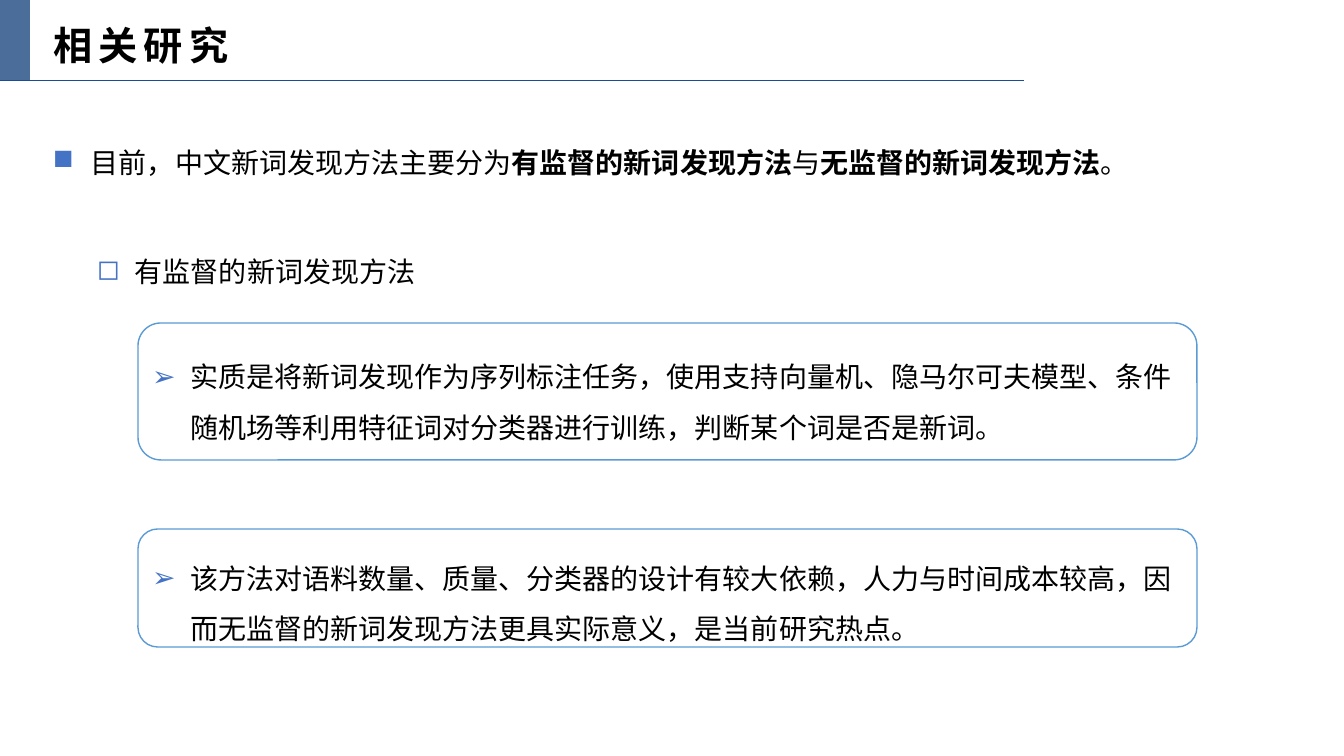
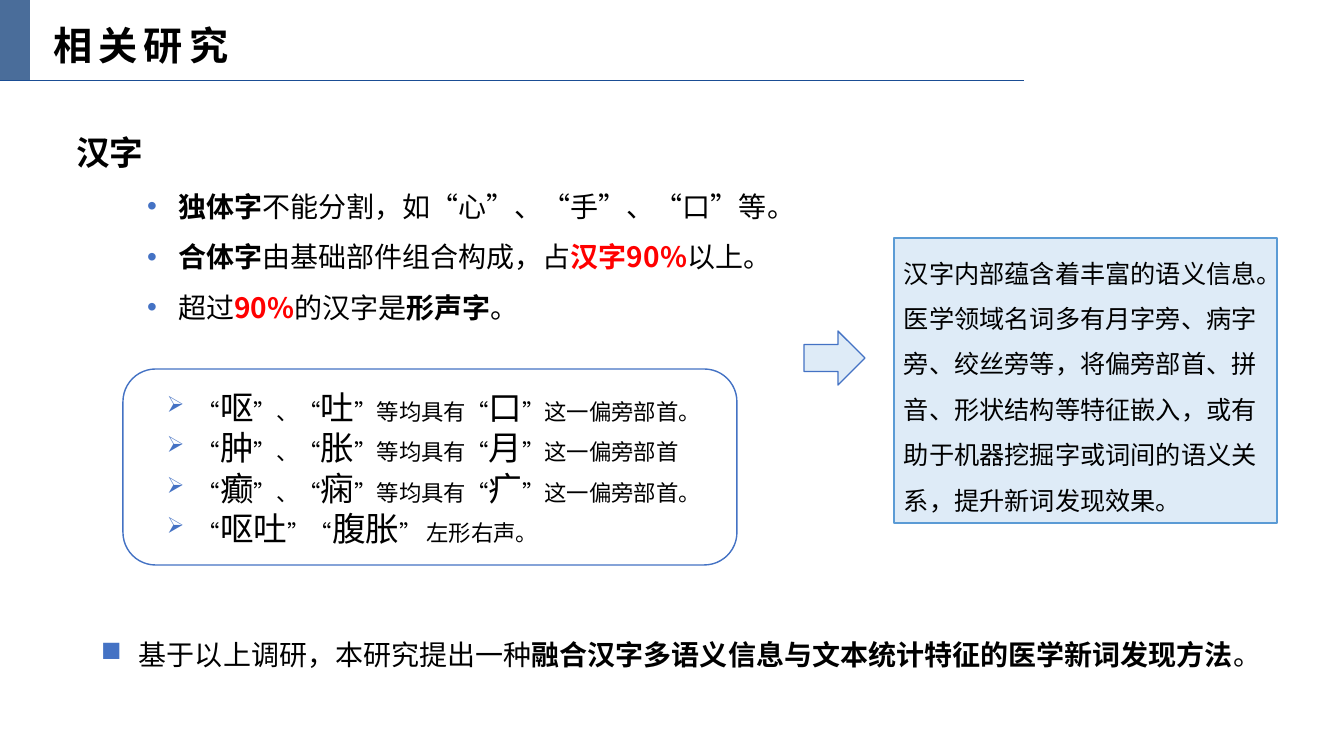
from lxml import etree
from pptx import Presentation
from pptx.dml.color import RGBColor
from pptx.enum.shapes import MSO_CONNECTOR as Connector, MSO_SHAPE as Shape
from pptx.enum.text import MSO_ANCHOR as Anchor, MSO_AUTO_SIZE as AutoSize, PP_ALIGN as Align
from pptx.oxml.ns import qn
from pptx.util import Pt

SLIDE_WIDTH, SLIDE_HEIGHT = 1344, 756
EMU_PER_PX = 12192000 / SLIDE_WIDTH

FONT = "Noto Sans CJK SC"
BLACK = RGBColor(0x00, 0x00, 0x00)
RED = RGBColor(0xFF, 0x00, 0x00)
BAND = RGBColor(0x4A, 0x6D, 0x9A)
RULE = RGBColor(0x1A, 0x4D, 0x94)
ACCENT = RGBColor(0x44, 0x72, 0xC4)
SKY = RGBColor(0x5B, 0x9B, 0xD5)
PALE = RGBColor(0xDE, 0xEB, 0xF7)

BOLD = {"bold": True}
ALERT = {"bold": True, "color": RED}
BIG = {"size": 24}
# Hanging bullets: main text and nested lists
MAIN = {"left": 38, "hang": 38}
NESTED = {"level": 1, "left": 132, "hang": 31, "align": Align.JUSTIFY}


def px(length):
    return round(length * EMU_PER_PX)


# Text
def add_run(paragraph, text, size=20, bold=False, color=BLACK, tracking=None):
    run = paragraph.add_run()
    run.text = text
    font = run.font
    font.name, font.size, font.bold = FONT, Pt(size), bold
    font.color.rgb = color
    properties = run._r.get_or_add_rPr()
    properties.set("lang", "zh-CN")
    if tracking:
        properties.set("spc", str(round(tracking * 100)))
    etree.SubElement(properties, qn("a:ea")).set("typeface", FONT)


def add_text(shape, runs, bullet=None, left=0, hang=0, level=0, align=Align.LEFT,
             spacing=1.0, before=0, **run_format):
    """Add one paragraph; runs is a string or a list of strings and (string, format)."""
    frame = shape.text_frame
    paragraph = frame.paragraphs[0]
    if paragraph.runs:
        paragraph = frame.add_paragraph()
    properties = paragraph._p.get_or_add_pPr()
    properties.set("marL", str(px(left)))
    properties.set("indent", str(-px(hang)))
    if bullet:
        color = etree.SubElement(properties, qn("a:buClr"))
        etree.SubElement(color, qn("a:srgbClr")).set("val", str(ACCENT))
        etree.SubElement(properties, qn("a:buChar")).set("char", bullet)
    else:
        etree.SubElement(properties, qn("a:buNone"))
    paragraph.level, paragraph.alignment = level, align
    paragraph.line_spacing = spacing
    paragraph.space_before, paragraph.space_after = Pt(before), Pt(0)
    for run in [runs] if isinstance(runs, str) else runs:
        text, extra = (run, {}) if isinstance(run, str) else run
        add_run(paragraph, text, **{**run_format, **extra})


def prepare_frame(shape, wrap=True):
    frame = shape.text_frame
    frame.word_wrap, frame.auto_size = wrap, AutoSize.NONE
    frame.vertical_anchor = Anchor.TOP
    return shape


# Objects
def move(shape, box):
    shape.left, shape.top, shape.width, shape.height = map(px, box)
    return shape


def add_text_box(slide, box):
    return prepare_frame(slide.shapes.add_textbox(*map(px, box)))


def use_body(slide, box):
    return prepare_frame(move(slide.placeholders[1], box))


def add_panel(slide, kind, box, fill=None, line=None):
    panel = slide.shapes.add_shape(kind, *map(px, box))
    panel.shadow.inherit = False
    if fill:
        panel.fill.solid()
        panel.fill.fore_color.rgb = fill
    else:
        panel.fill.background()
    if line:
        panel.line.color.rgb = line
        panel.line.width = Pt(1)
    else:
        panel.line.fill.background()
    return panel


# Shared slide frame: rule, band and title
def add_titled_slide(presentation, title_text):
    slide = presentation.slides.add_slide(presentation.slide_layouts[1])
    rule = slide.shapes.add_connector(Connector.STRAIGHT, 0, px(80), px(1024), px(80))
    rule.line.color.rgb = RULE
    rule.line.width = Pt(0.5)
    etree.SubElement(rule._element.spPr, qn("a:effectLst"))
    add_panel(slide, Shape.RECTANGLE, (0, 0, 30, 80), fill=BAND)
    title = prepare_frame(move(slide.shapes.title, (43, 16, 205, 57)), wrap=False)
    add_text(title, title_text, size=28, bold=True, tracking=4.5)
    return slide


# Regions of the supervised methods slide
def add_statement(slide, box, runs, bullet, **text_format):
    add_text(add_text_box(slide, box), runs, bullet, **MAIN, **text_format)


def add_framed_points(slide, box, points):
    left, top, width, height = box
    for offset, card_height in ((0, 137), (206, 118)):
        add_panel(slide, Shape.ROUNDED_RECTANGLE,
                  (left, top + offset, width, card_height), line=SKY)
    body = use_body(slide, (left + 4, top + 15, width, height - 15))
    for index, point in enumerate(points):
        add_text(body, point, "➢", **MAIN, spacing=1.5, before=72 * index)


# Regions of the characters slide
def add_character_facts(slide, box, heading, facts):
    body = use_body(slide, box)
    add_text(body, heading, left=30, align=Align.JUSTIFY, spacing=1.2, size=24, bold=True)
    for fact in facts:
        add_text(body, fact, "•", **NESTED, before=12)


def add_examples(slide, box, examples):
    left, top, width, height = box
    add_panel(slide, Shape.ROUNDED_RECTANGLE, box, line=ACCENT)
    text_box = add_text_box(slide, (left - 67, top + 13, width + 79, height - 22))
    for runs in examples:
        add_text(text_box, runs, "➢", **NESTED, size=16)


def radical_example(first, second, radical, ending):
    return ["“", (first, BIG), "”、“", (second, BIG), "”等均具有“",
            (radical, BIG), "”这一偏旁部首" + ending]


def add_insight(slide, box, text):
    left, top, width, height = box
    add_panel(slide, Shape.RIGHT_ARROW, (left - 90, top + 93, 61, 54), PALE, ACCENT)
    panel = prepare_frame(add_panel(slide, Shape.RECTANGLE, box, PALE, SKY))
    add_text(panel, text, spacing=1.5, size=18)


# Slides
def build_supervised_slide(presentation):
    slide = add_titled_slide(presentation, "相关研究")
    add_statement(slide, (43, 124, 1242, 55), [
        "目前，中文新词发现方法主要分为", ("有监督的新词发现方法", BOLD),
        "与", ("无监督的新词发现方法", BOLD), "。",
    ], "■", spacing=1.5, align=Align.JUSTIFY)
    add_statement(slide, (87, 233, 1242, 55), "有监督的新词发现方法", "◻",
                  spacing=1.5, align=Align.JUSTIFY)
    add_framed_points(slide, (138, 323, 1059, 324), [
        "实质是将新词发现作为序列标注任务，使用支持向量机、隐马尔可夫模型、条件"
        "随机场等利用特征词对分类器进行训练，判断某个词是否是新词。",
        "该方法对语料数量、质量、分类器的设计有较大依赖，人力与时间成本较高，因"
        "而无监督的新词发现方法更具实际意义，是当前研究热点。",
    ])


def build_characters_slide(presentation):
    slide = add_titled_slide(presentation, "相关研究")
    add_character_facts(slide, (36, 119, 901, 212), "汉字", [
        [("独体字", BOLD), "不能分割，如“心”、“手”、“口”等。"],
        [("合体字", BOLD), "由基础部件组合构成，占", ("汉字90%", ALERT), "以上。"],
        ["超过", ("90%", ALERT), "的汉字是", ("形声字", BOLD), "。"],
    ])
    add_examples(slide, (123, 369, 614, 196), [
        radical_example("呕", "吐", "口", "。"),
        radical_example("肿", "胀", "月", ""),
        radical_example("癫", "痫", "疒", "。"),
        ["“", ("呕吐", BIG), "”“", ("腹胀", BIG), "” 左形右声。"],
    ])
    add_insight(slide, (894, 238, 383, 285),
                "汉字内部蕴含着丰富的语义信息。医学领域名词多有月字旁、病字旁、绞丝旁等，"
                "将偏旁部首、拼音、形状结构等特征嵌入，或有助于机器挖掘字或词间的语义关系，"
                "提升新词发现效果。")
    add_statement(slide, (91, 633, 1187, 44), [
        "基于以上调研，本研究提出一种",
        ("融合汉字多语义信息与文本统计特征的医学新词发现方法", BOLD), "。",
    ], "■")


def main():
    presentation = Presentation()
    presentation.slide_width = px(SLIDE_WIDTH)
    presentation.slide_height = px(SLIDE_HEIGHT)
    build_supervised_slide(presentation)
    build_characters_slide(presentation)
    presentation.save("out.pptx")


if __name__ == "__main__":
    main()
